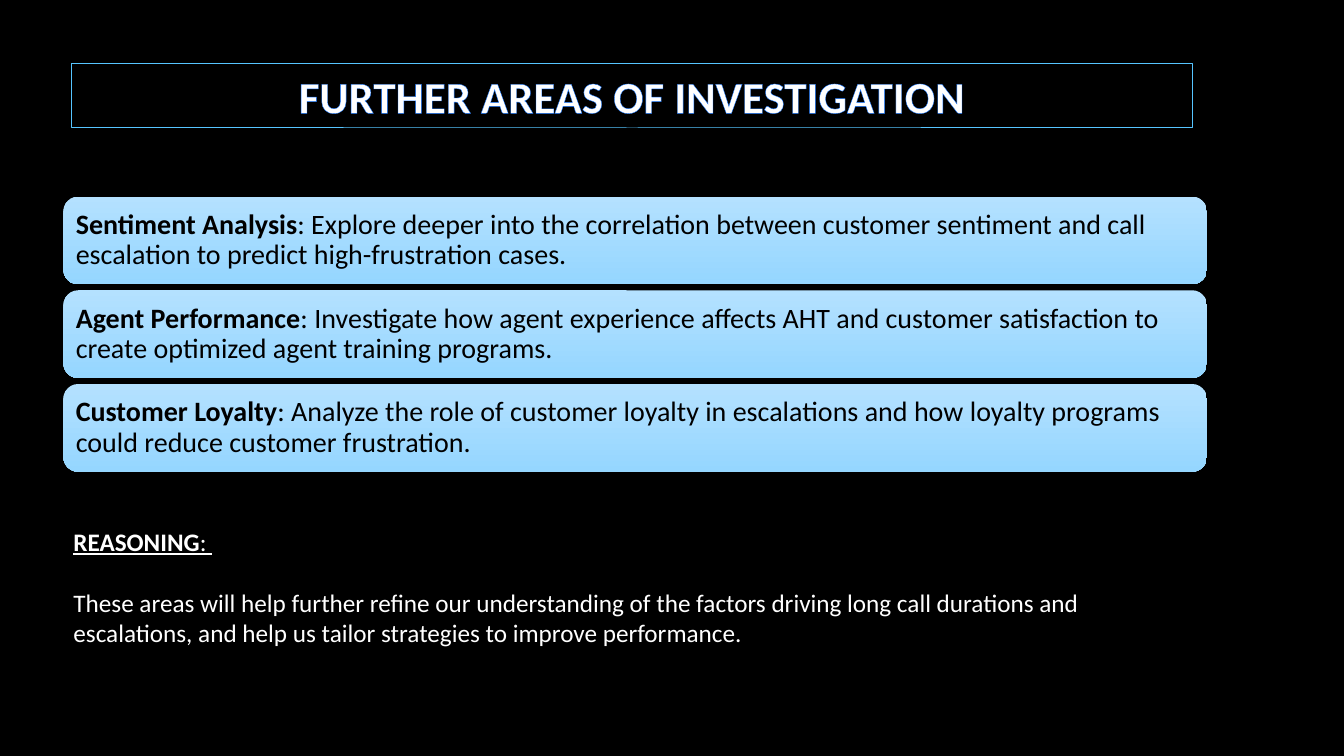
from dataclasses import dataclass

from lxml.etree import SubElement
from pptx import Presentation
from pptx.dml.color import RGBColor
from pptx.enum.shapes import MSO_SHAPE as Shape
from pptx.enum.text import MSO_ANCHOR as Anchor, MSO_AUTO_SIZE as AutoSize, PP_ALIGN as Align
from pptx.oxml.ns import qn
from pptx.slide import Slide
from pptx.text.text import Font
from pptx.util import Inches, Pt

COLORS = {
    "background": "000000",
    "light": "FFFFFF",
    "dark": "000000",
    "card_top": "B4E1FF",
    "card_bottom": "95D6FF",
    "title_border": "56C5FF",
    "title_outline": "1474FF",
}
FONT = "Calibri"
LEFT, WIDTH = 0.63, 11.34
CARD_TOP, CARD_HEIGHT, CARD_STEP = 1.95, 0.87, 0.93
CARD_INSET = 0.08


@dataclass
class Area:
    name: str
    description: str


AREAS = [
    Area("Sentiment Analysis", "Explore deeper into the correlation between customer sentiment "
         "and call escalation to predict high-frustration cases."),
    Area("Agent Performance", "Investigate how agent experience affects AHT and customer "
         "satisfaction to create optimized agent training programs."),
    Area("Customer Loyalty", "Analyze the role of customer loyalty in escalations and how "
         "loyalty programs could reduce customer frustration."),
]
REASONING = ("These areas will help further refine our understanding of the factors driving long "
             "call durations and escalations, and help us tailor strategies to improve performance.")


def color(name: str) -> RGBColor:
    return RGBColor.from_string(COLORS[name])


def set_font(font: Font, size: float, color_name: str) -> None:
    font.name = FONT
    font.size = Pt(size)
    font.color.rgb = color(color_name)


def add_title(slide: Slide) -> None:
    title = slide.shapes.title
    title.left, title.top = Inches(0.71), Inches(0.63)
    title.width, title.height = Inches(11.12), Inches(0.64)
    title.line.color.rgb = color("title_border")
    title.line.width = Pt(0.75)
    frame = title.text_frame
    frame.auto_size = AutoSize.NONE
    frame.vertical_anchor = Anchor.TOP
    paragraph = frame.paragraphs[0]
    paragraph.alignment = Align.CENTER
    paragraph.line_spacing = 1.0
    run = paragraph.add_run()
    run.text = "FURTHER AREAS OF INVESTIGATION"
    set_font(run.font, 32, "light")
    run.font.bold = True
    # Letter outline, which must come first in the run properties
    properties = run._r.get_or_add_rPr()
    outline = SubElement(properties, qn("a:ln"), w=str(Pt(0.75)))
    fill = SubElement(outline, qn("a:solidFill"))
    SubElement(fill, qn("a:srgbClr"), val=COLORS["title_outline"])
    properties.insert(0, outline)


def add_card(slide: Slide, area: Area, top: float) -> None:
    card = slide.shapes.add_shape(Shape.ROUNDED_RECTANGLE, Inches(LEFT), Inches(top),
                                  Inches(WIDTH), Inches(CARD_HEIGHT))
    card.shadow.inherit = False
    card.line.fill.background()
    card.fill.gradient()
    card.fill.gradient_angle = 270
    for stop, name in zip(card.fill.gradient_stops, ("card_top", "card_bottom")):
        stop.color.rgb = color(name)
    frame = card.text_frame
    frame.word_wrap = True
    frame.vertical_anchor = Anchor.MIDDLE
    frame.margin_left = frame.margin_right = Inches(CARD_INSET)
    frame.margin_top = frame.margin_bottom = Inches(CARD_INSET)
    paragraph = frame.paragraphs[0]
    paragraph.alignment = Align.LEFT
    paragraph.line_spacing = 0.9
    set_font(paragraph.font, 20, "dark")
    name_run = paragraph.add_run()
    name_run.text = area.name
    name_run.font.bold = True
    paragraph.add_run().text = f": {area.description}"


def add_reasoning(slide: Slide) -> None:
    box = slide.shapes.add_textbox(Inches(LEFT), Inches(5.17), Inches(WIDTH), Inches(1.31))
    frame = box.text_frame
    frame.word_wrap = True
    heading, body = frame.paragraphs[0], frame.add_paragraph()
    for paragraph in (heading, body):
        set_font(paragraph.font, 18, "light")
    heading.font.underline = True
    heading.space_after = Pt(22)
    heading_run = heading.add_run()
    heading_run.text = "REASONING"
    heading_run.font.bold = True
    heading.add_run().text = ": "
    body.add_run().text = REASONING


def main() -> None:
    presentation = Presentation()
    presentation.slide_width, presentation.slide_height = Inches(13.33), Inches(7.5)
    slide = presentation.slides.add_slide(presentation.slide_layouts[5])
    background = slide.background.fill
    background.solid()
    background.fore_color.rgb = color("background")

    # Title, stacked area cards, closing text
    add_title(slide)
    for index, area in enumerate(AREAS):
        add_card(slide, area, CARD_TOP + index * CARD_STEP)
    add_reasoning(slide)
    presentation.save("out.pptx")


if __name__ == "__main__":
    main()
